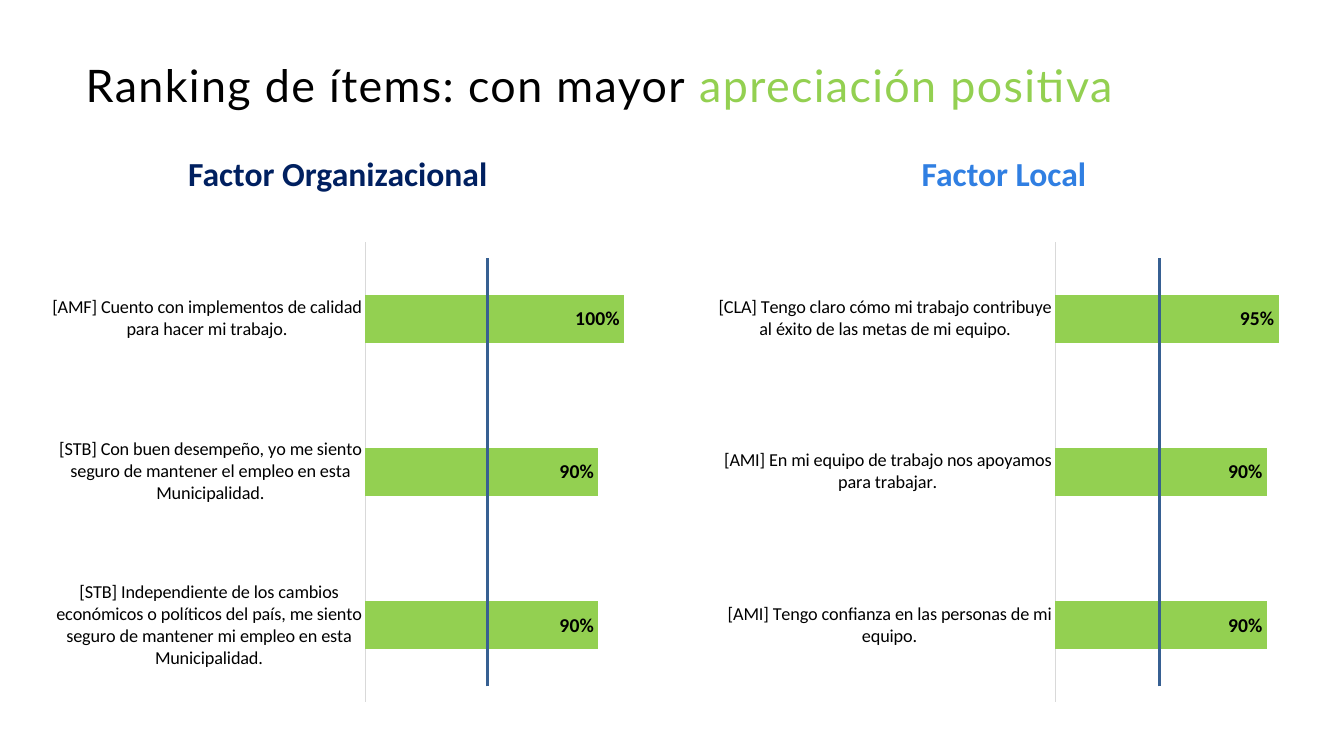
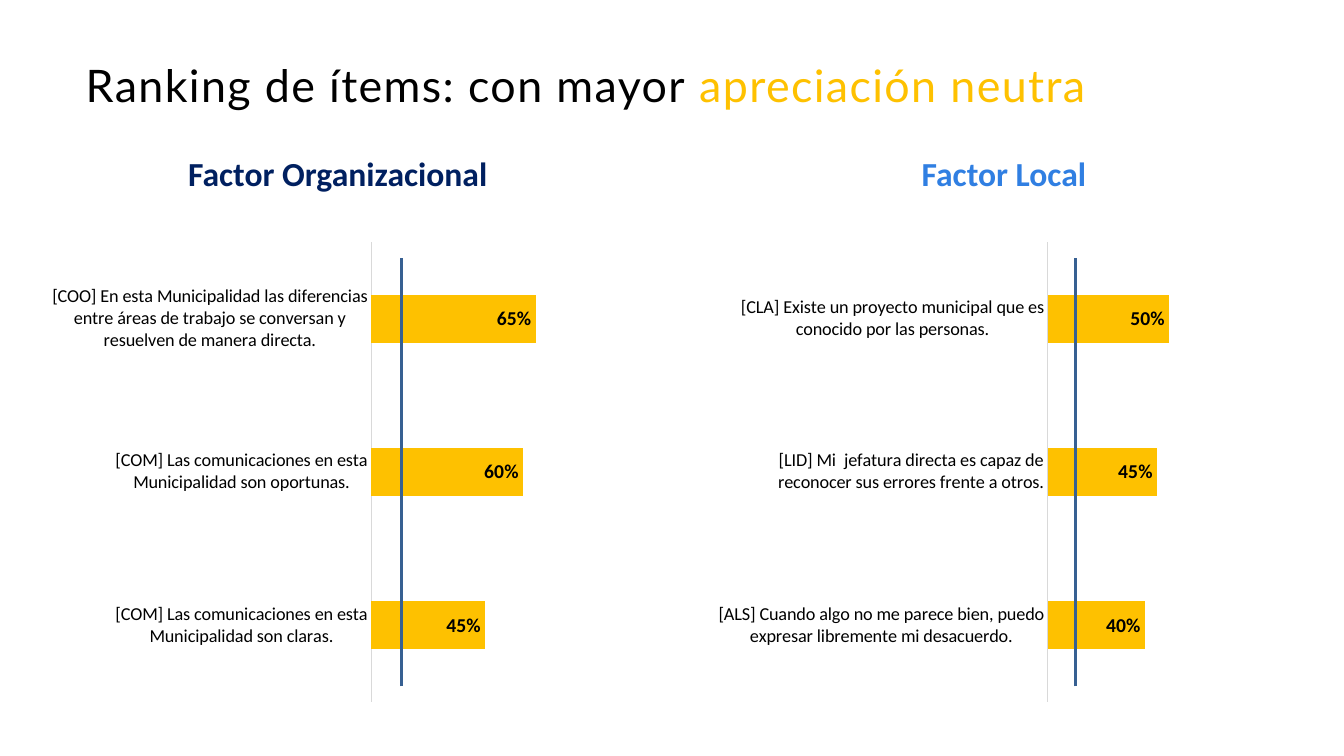
from lxml.etree import SubElement
from pptx import Presentation
from pptx.chart.data import CategoryChartData
from pptx.dml.color import RGBColor
from pptx.enum.chart import XL_CHART_TYPE, XL_LABEL_POSITION, XL_TICK_LABEL_POSITION, XL_TICK_MARK
from pptx.enum.shapes import MSO_CONNECTOR
from pptx.enum.text import MSO_ANCHOR, MSO_AUTO_SIZE, PP_ALIGN
from pptx.oxml.ns import qn
from pptx.util import Pt

COLORS = {
    "text": "000000",
    "chart_text": "FFFFFF",
    "organizational": "002060",
    "local": "307FE2",
    "positive": "93D051",
    "neutral": "FEC100",
    "axis": "D9D9D9",
    "reference": "376092",
}
TITLE_FONT = "Lato"
BODY_FONT = "Calibri"

# Both columns: heading text, heading color, heading left, chart left
COLUMNS = [
    ("Factor Organizacional", "organizational", 59.8, 28.8),
    ("Factor Local", "local", 535.7, 504.7),
]

# Each chart: x of its reference line, then its items from top to bottom
SLIDES = [
    {
        "highlight": "apreciación positiva",
        "color": "positive",
        "charts": [
            (348.5, [
                ("[AMF] Cuento con implementos de calidad para hacer mi trabajo.", 1),
                ("[STB] Con buen desempeño, yo me siento seguro de mantener el empleo "
                 "en esta Municipalidad.", 0.9),
                ("[STB] Independiente de los cambios económicos o políticos del país, "
                 "me siento seguro de mantener mi empleo en esta Municipalidad.", 0.9),
            ]),
            (828, [
                ("[CLA] Tengo claro cómo mi trabajo contribuye al éxito de las metas "
                 "de mi equipo.", 0.95),
                ("[AMI] En mi equipo de trabajo nos apoyamos para trabajar.", 0.9),
                ("[AMI] Tengo confianza en las personas de mi equipo.", 0.9),
            ]),
        ],
    },
    {
        "highlight": "apreciación neutra",
        "color": "neutral",
        "charts": [
            (286.6, [
                ("[COO] En esta Municipalidad las diferencias entre áreas de trabajo "
                 "se conversan y resuelven de manera directa.", 0.65),
                ("[COM] Las comunicaciones en esta Municipalidad son oportunas.", 0.6),
                ("[COM] Las comunicaciones en esta Municipalidad son claras.", 0.45),
            ]),
            (768.2, [
                ("[CLA] Existe un proyecto municipal que es conocido por las personas.", 0.5),
                ("[LID] Mi  jefatura directa es capaz de reconocer sus errores "
                 "frente a otros.", 0.45),
                ("[ALS] Cuando algo no me parece bien, puedo expresar libremente "
                 "mi desacuerdo.", 0.4),
            ]),
        ],
    },
]


def rgb(name):
    return RGBColor.from_string(COLORS[name])


def format_font(font, name, size, color, bold=False):
    font.name = name
    font.size = Pt(size)
    font.bold = bold
    font.color.rgb = rgb(color)


def set_title(slide, highlight, color):
    title = slide.shapes.title
    title.left, title.top, title.width, title.height = Pt(61.2), Pt(24.5), Pt(848.2), Pt(76.3)
    frame = title.text_frame
    frame.margin_left = frame.margin_top = frame.margin_right = frame.margin_bottom = 0
    frame.vertical_anchor = MSO_ANCHOR.MIDDLE
    frame.auto_size = MSO_AUTO_SIZE.NONE
    paragraph = frame.paragraphs[0]
    paragraph.alignment = PP_ALIGN.LEFT
    paragraph.line_spacing = 0.9
    for text, run_color in (("Ranking de ítems: con mayor ", "text"), (highlight, color)):
        run = paragraph.add_run()
        run.text = text
        format_font(run.font, TITLE_FONT, 32, run_color)
        # Letter spacing of one point
        run.font._element.set("spc", "100")


def add_heading(slide, text, color, left):
    frame = slide.shapes.add_textbox(Pt(left), Pt(113.8), Pt(362.9), Pt(23.8)).text_frame
    frame.word_wrap = True
    frame.vertical_anchor = MSO_ANCHOR.MIDDLE
    paragraph = frame.paragraphs[0]
    paragraph.text = text
    paragraph.alignment = PP_ALIGN.CENTER
    paragraph.line_spacing = 0.9
    format_font(paragraph.font, BODY_FONT, 24, color, bold=True)


def add_ranking_chart(slide, items, color, left):
    # Bar charts draw their first category at the bottom
    categories, values = zip(*reversed(items))
    data = CategoryChartData(number_format="0%")
    data.categories = categories
    data.add_series("Series 1", values)
    chart = slide.shapes.add_chart(
        XL_CHART_TYPE.BAR_CLUSTERED, Pt(left), Pt(166.3), Pt(425.5), Pt(342), data).chart
    chart.has_title = False
    chart.has_legend = False
    format_font(chart.font, BODY_FONT, 10, "chart_text")

    # Axes
    category_axis = chart.category_axis
    category_axis.major_tick_mark = XL_TICK_MARK.NONE
    category_axis.minor_tick_mark = XL_TICK_MARK.NONE
    category_axis.tick_label_position = XL_TICK_LABEL_POSITION.NEXT_TO_AXIS
    category_axis.format.line.color.rgb = rgb("axis")
    category_axis.format.line.width = Pt(0.75)
    format_font(category_axis.tick_labels.font, BODY_FONT, 13, "text")
    value_axis = chart.value_axis
    value_axis.minimum_scale = 0
    value_axis.maximum_scale = 1
    value_axis.has_major_gridlines = False
    value_axis.visible = False

    # Bars and their labels
    plot = chart.plots[0]
    plot.gap_width = 219
    plot.vary_by_categories = False
    series = plot.series[0]
    series.format.fill.solid()
    series.format.fill.fore_color.rgb = rgb(color)
    labels = series.data_labels
    labels.show_value = True
    labels.position = XL_LABEL_POSITION.INSIDE_END
    labels.number_format = "0%"
    labels.number_format_is_linked = False
    format_font(labels.font, BODY_FONT, 14, "text", bold=True)


def add_reference_line(slide, x):
    connector = slide.shapes.add_connector(
        MSO_CONNECTOR.STRAIGHT, Pt(x), Pt(490.3), Pt(x), Pt(184.3))
    connector.line.color.rgb = rgb("reference")
    connector.line.width = Pt(2)
    SubElement(connector._element.spPr, qn("a:effectLst"))


def add_ranking_slide(presentation, content):
    slide = presentation.slides.add_slide(presentation.slide_layouts.get_by_name("Title Only"))
    set_title(slide, content["highlight"], content["color"])
    for column, (line_x, items) in zip(COLUMNS, content["charts"]):
        heading, heading_color, heading_left, chart_left = column
        add_heading(slide, heading, heading_color, heading_left)
        add_ranking_chart(slide, items, content["color"], chart_left)
        add_reference_line(slide, line_x)


def main():
    presentation = Presentation()
    presentation.slide_width = Pt(960)
    presentation.slide_height = Pt(540)
    for content in SLIDES:
        add_ranking_slide(presentation, content)
    presentation.save("out.pptx")


if __name__ == "__main__":
    main()
